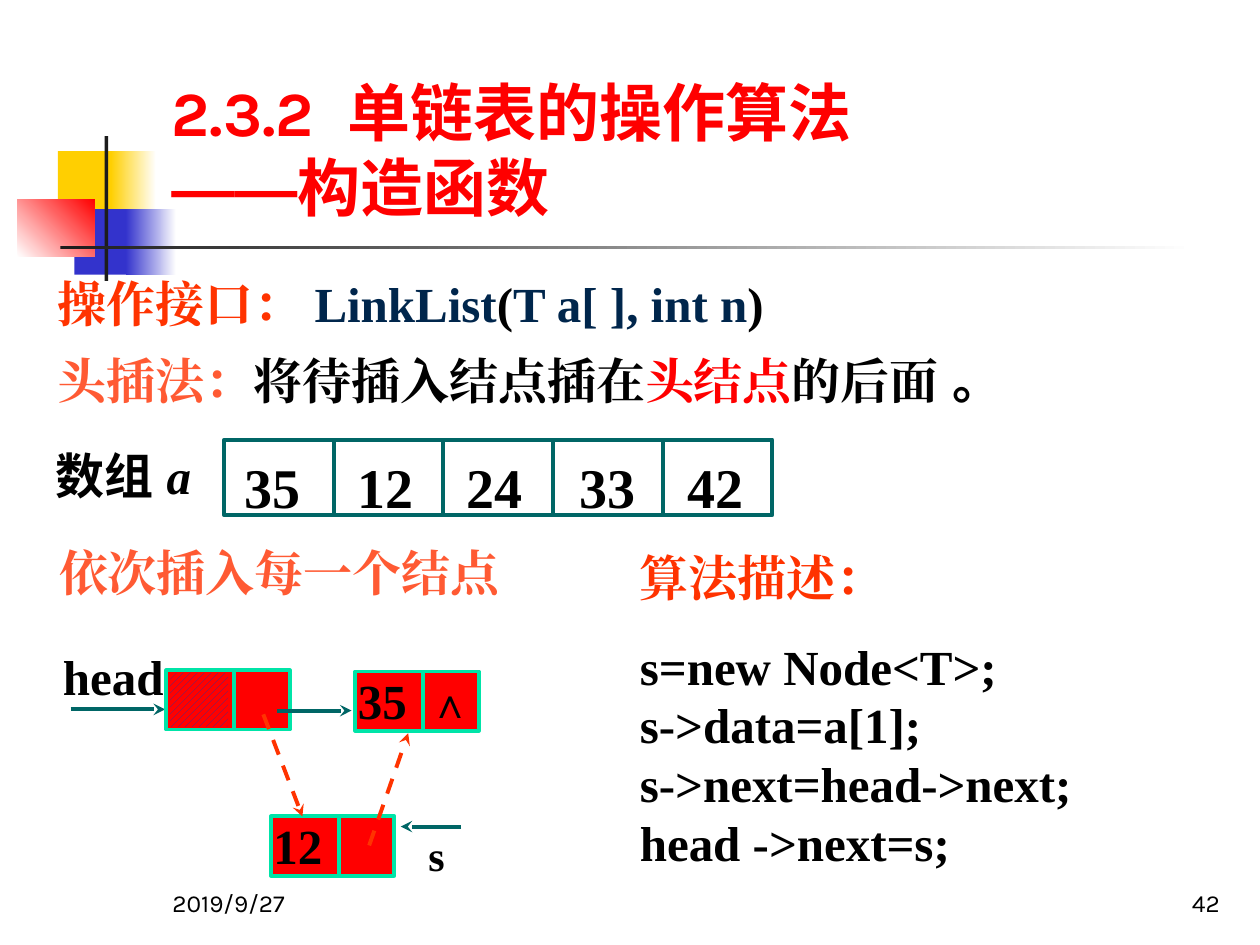
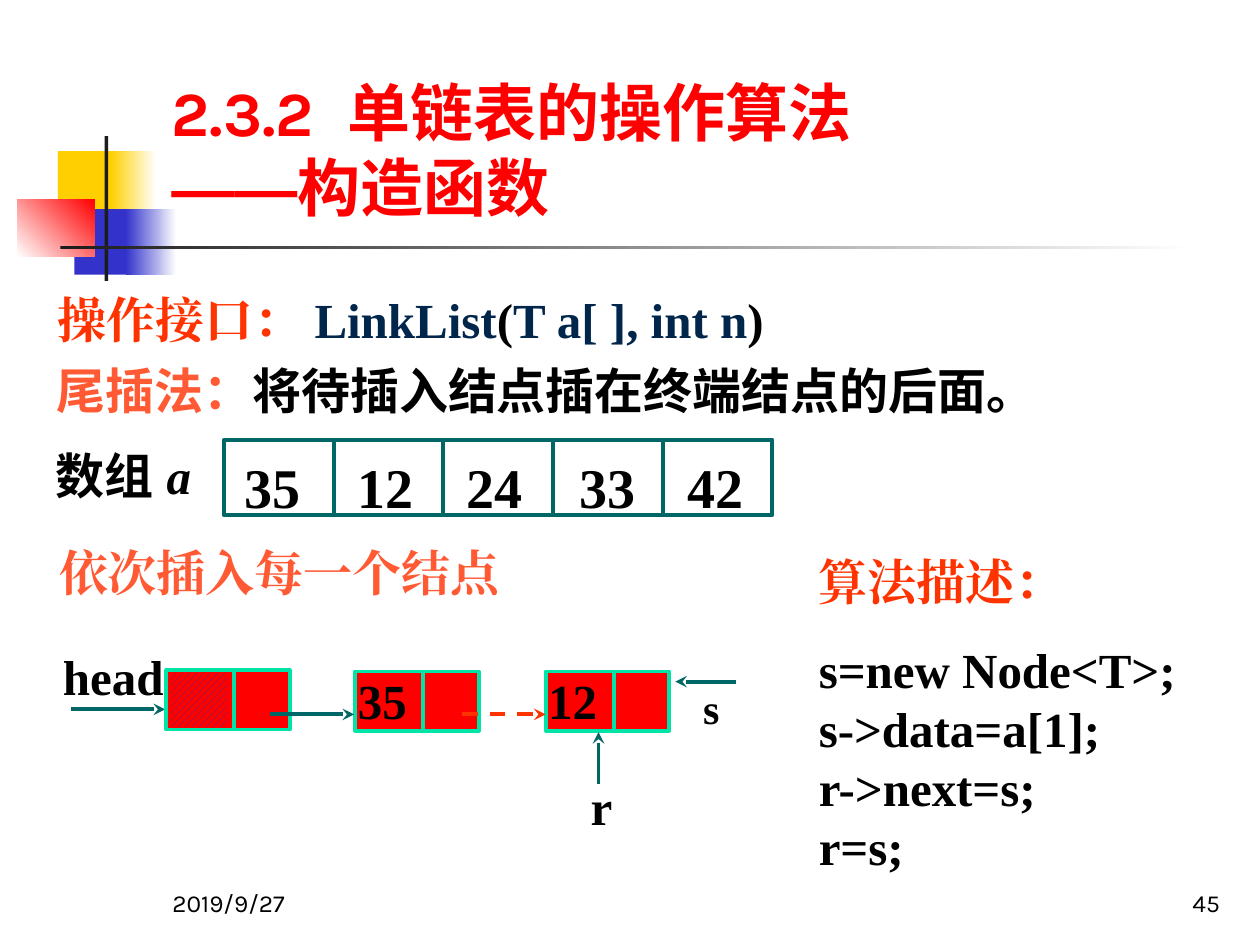
from lxml import etree
from pptx import Presentation
from pptx.dml.color import RGBColor
from pptx.enum import dml, shapes, text
from pptx.oxml import ns
from pptx.util import Inches, Pt

COLORS = {
    "black": "000000", "white": "FFFFFF", "red": "FF0000", "orange": "FF3300",
    "coral": "FF5A33", "navy": "00264C", "teal": "006666", "mint": "00E4A8",
    "yellow": "FFCF01", "blue": "3333CC", "hatch": "333399", "ink": "1C1C1C",
}
SERIF, SANS, CJK, TITLE_FONT = "Times New Roman", "Arial", "Noto Sans CJK SC", "Karla"
DEFAULT_INSETS = (0.1, 0.05, 0.1, 0.05)
FLUSH_INSETS = (0, 0.05, 0, 0.05)
NO_INSETS = (0, 0, 0, 0)
POINTER_INSETS = (0, 0, 0, 0.04)
NODE_INSETS = (0.02, 0.04, 0, 0)
LEFT, CENTER, RIGHT = text.PP_ALIGN.LEFT, text.PP_ALIGN.CENTER, text.PP_ALIGN.RIGHT

DECORATIONS = [
    ((0.46, 1.2, 0.48, 0.52), ("yellow",), 0),
    ((0.88, 1.2, 0.36, 0.52), ("yellow", "white"), 0),
    ((0.59, 1.66, 0.46, 0.52), ("blue",), 0),
    ((1, 1.66, 0.4, 0.52), ("blue", "white"), 0),
    ((0.14, 1.58, 0.61, 0.46), ("white", "red"), 45),
    ((0.83, 1.08, 0.03, 1.15), ("ink",), 0),
    ((0.48, 1.95, 9, 0.03), ("ink", "white"), 0),
]
TITLE = [
    ("2.3.2", "red", TITLE_FONT), (" ", "red", TITLE_FONT, 10),
    ("单链表的操作算法", "red", TITLE_FONT), ("\n",),
    ("——", "red", SANS), ("构造函数", "red", TITLE_FONT),
]
DATE = "2019/9/27"
INTERFACE = [
    ("操作接口： ", "orange"), ("LinkList", "navy"), ("(", "black"),
    ("T a[ ], int n", "navy"), (")", "black"),
]
ARRAY_LABEL = [("数组 ", "black", SANS), ("a", "black", SERIF)]
ARRAY_VALUES = [("35", 1.94), ("12", 2.84), ("24", 3.7), ("33", 4.6), ("42", 5.46)]
STEP_HEADING = "依次插入每一个结点"
CODE_HEADING = "算法描述："
HEAD_NODE = (1.32, 5.32)
FIRST_NODE = (2.82, 5.33, "35")

SLIDES = [
    {
        "number": "42",
        "interface_top": 2.12,
        "method_at": (0.46, 2.73, 7.97, 0.57),
        "method": [
            ("头插法：", "coral"), ("将待插入结点插在", "black"),
            ("头结点", "red"), ("的后面", "black"), (" 。", "black", SANS),
        ],
        "code_at": (4.98, 4.3, 4.31, 2.67),
        "code": ["s=new Node<T>;", "s->data=a[1];", "s->next=head->next;", "head ->next=s;"],
        "new_node": (2.15, 6.48, "12"),
        "labels": [
            ("s", (3.4, 6.58, 0.27, 0.4), 24, LEFT, NO_INSETS),
            ("∧", (3.31, 5.32, 0.49, 0.5), 24, CENTER, DEFAULT_INSETS),
        ],
        "pointers": [(3.66, 6.56, 3.18, 6.56), (2.2, 5.64, 2.79, 5.64)],
        "new_links": [(2.09, 5.67, 2.4, 6.48), (2.93, 6.71, 3.24, 5.82)],
    },
    {
        "number": "45",
        "interface_top": 2.25,
        "method_at": (0.45, 2.81, 9.33, 0.57),
        "method": [
            ("尾插法：", "coral", CJK),
            ("将待插入结点插在终端结点的后面。", "black", CJK),
        ],
        "code_at": (6.4, 4.33, 3.34, 2.67),
        "code": ["s=new Node<T>;", "s->data=a[1];", "r->next=s;", "r=s;"],
        "new_node": (4.33, 5.33, "12"),
        "labels": [
            ("s", (5.58, 5.42, 0.27, 0.4), 24, LEFT, NO_INSETS),
            ("r", (4.36, 6.16, 0.83, 0.51), 28, CENTER, POINTER_INSETS),
        ],
        "pointers": [
            (5.84, 5.41, 5.36, 5.41), (2.14, 5.67, 2.81, 5.67), (4.75, 6.22, 4.75, 5.81),
        ],
        "new_links": [(3.67, 5.67, 4.33, 5.67)],
    },
]


def rgb(name):
    return RGBColor.from_string(COLORS[name])


def box(values):
    return [Inches(value) for value in values]


def write(shape, paragraphs, size=28, bold=True, align=LEFT, insets=DEFAULT_INSETS,
          anchor=text.MSO_ANCHOR.TOP, leading=1.2):
    frame = shape.text_frame
    frame.word_wrap = True
    frame.vertical_anchor = anchor
    frame.margin_left, frame.margin_top, frame.margin_right, frame.margin_bottom = box(insets)
    for index, runs in enumerate(paragraphs):
        paragraph = frame.add_paragraph() if index else frame.paragraphs[0]
        paragraph.alignment = align
        paragraph.line_spacing = Pt(size * leading)
        paragraph.space_before = Pt(size * 0.6 if index == 1 else 0)
        for words, color, font, spacing in map(complete_run, runs):
            if words == "\n":
                paragraph.add_line_break()
                continue
            run = paragraph.add_run()
            run.text = words
            run.font.size, run.font.bold = Pt(size), bold
            run.font.color.rgb = rgb(color)
            run.font.name = font
            properties = run.font._element
            etree.SubElement(properties, ns.qn("a:ea")).set("typeface", font)
            if spacing:
                properties.set("spc", str(spacing * 100))
    return frame


def complete_run(run):
    return run + ("black", SERIF, 0)[len(run) - 1:]


def add_text(slide, at, paragraphs, **style):
    return write(slide.shapes.add_textbox(*box(at)), paragraphs, **style)


def add_rect(slide, at, fill=None, line=None):
    rect = slide.shapes.add_shape(shapes.MSO_SHAPE.RECTANGLE, *box(at))
    rect.shadow.inherit = False
    if fill:
        rect.fill.solid()
        rect.fill.fore_color.rgb = rgb(fill)
    else:
        rect.fill.background()
    if line:
        rect.line.color.rgb, rect.line.width = rgb(line), Pt(2.25)
    else:
        rect.line.fill.background()
    return rect


def add_line(slide, ends, color, arrow=False, dashed=False):
    connector = slide.shapes.add_connector(shapes.MSO_CONNECTOR.STRAIGHT, *box(ends))
    connector.line.color.rgb, connector.line.width = rgb(color), Pt(2.25)
    if dashed:
        connector.line.dash_style = dml.MSO_LINE.DASH
    properties = connector._element.spPr
    if arrow:
        outline = properties.find(ns.qn("a:ln"))
        etree.SubElement(outline, ns.qn("a:tailEnd")).set("type", "stealth")
    etree.SubElement(properties, ns.qn("a:effectLst"))


def add_node(slide, left, top, value=None):
    node = add_rect(slide, (left, top, 0.98, 0.47), "red", "mint")
    if value:
        write(node, [[(value,)]], insets=NODE_INSETS, leading=1.08)
    add_line(slide, (left + 0.54, top, left + 0.54, top + 0.47), "mint")


def add_frame(slide, number):
    for at, fills, angle in DECORATIONS:
        band = add_rect(slide, at, fills[0])
        if len(fills) == 2:
            band.fill.gradient()
            band.fill.gradient_angle = angle
            for stop, color in zip(band.fill.gradient_stops, fills):
                stop.color.rgb = rgb(color)
    title = slide.shapes.title
    title.left, title.top, title.width, title.height = box((1.26, 0.23, 8.52, 1.6))
    write(title, [TITLE], size=36, anchor=text.MSO_ANCHOR.BOTTOM)
    for words, left, align in ((DATE, 1.27, LEFT), (number, 7.7, RIGHT)):
        add_text(slide, (left, 6.83, 2.08, 0.5), [[(words, "black", TITLE_FONT)]], size=14,
                 bold=False, align=align, anchor=text.MSO_ANCHOR.BOTTOM)


def add_array(slide):
    label = add_text(slide, (0.34, 3.49, 1.58, 0.57), [ARRAY_LABEL])
    label.paragraphs[0].runs[-1].font.italic = True
    for index, (value, left) in enumerate(ARRAY_VALUES):
        add_rect(slide, (1.78 + 0.87 * index, 3.49, 0.87, 0.6), line="teal")
        add_text(slide, (left, 3.59, 0.52, 0.53), [[(value,)]], size=32, insets=NO_INSETS)


def add_list_diagram(slide, content):
    add_line(slide, (0.56, 5.63, 1.31, 5.63), "teal", arrow=True)
    add_text(slide, (0.5, 5.13, 0.83, 0.51), [[("head",)]], insets=POINTER_INSETS)
    add_node(slide, *HEAD_NODE)
    hatch = add_rect(slide, (1.35, 5.34, 0.46, 0.43))
    hatch.fill.patterned()
    hatch.fill.pattern = dml.MSO_PATTERN.WIDE_UPWARD_DIAGONAL
    hatch.fill.fore_color.rgb, hatch.fill.back_color.rgb = rgb("hatch"), rgb("red")
    add_node(slide, *FIRST_NODE)
    add_node(slide, *content["new_node"])
    for words, at, size, align, insets in content["labels"]:
        add_text(slide, at, [[(words,)]], size=size, align=align, insets=insets)
    for ends in content["pointers"]:
        add_line(slide, ends, "teal", arrow=True)
    for ends in content["new_links"]:
        add_line(slide, ends, "orange", arrow=True, dashed=True)


def main():
    deck = Presentation()
    deck.slide_width, deck.slide_height = Inches(10), Inches(7.5)
    for content in SLIDES:
        slide = deck.slides.add_slide(deck.slide_layouts[5])
        add_frame(slide, content["number"])
        add_text(slide, (0.36, content["interface_top"], 9, 0.57), [INTERFACE])
        add_text(slide, content["method_at"], [content["method"]], insets=FLUSH_INSETS)
        add_array(slide)
        add_text(slide, (0.37, 4.26, 3.92, 0.57), [[(STEP_HEADING, "coral")]])
        code = [[(line,)] for line in content["code"]]
        add_text(slide, content["code_at"], [[(CODE_HEADING, "orange")]] + code)
        add_list_diagram(slide, content)
    deck.save("out.pptx")


if __name__ == "__main__":
    main()
